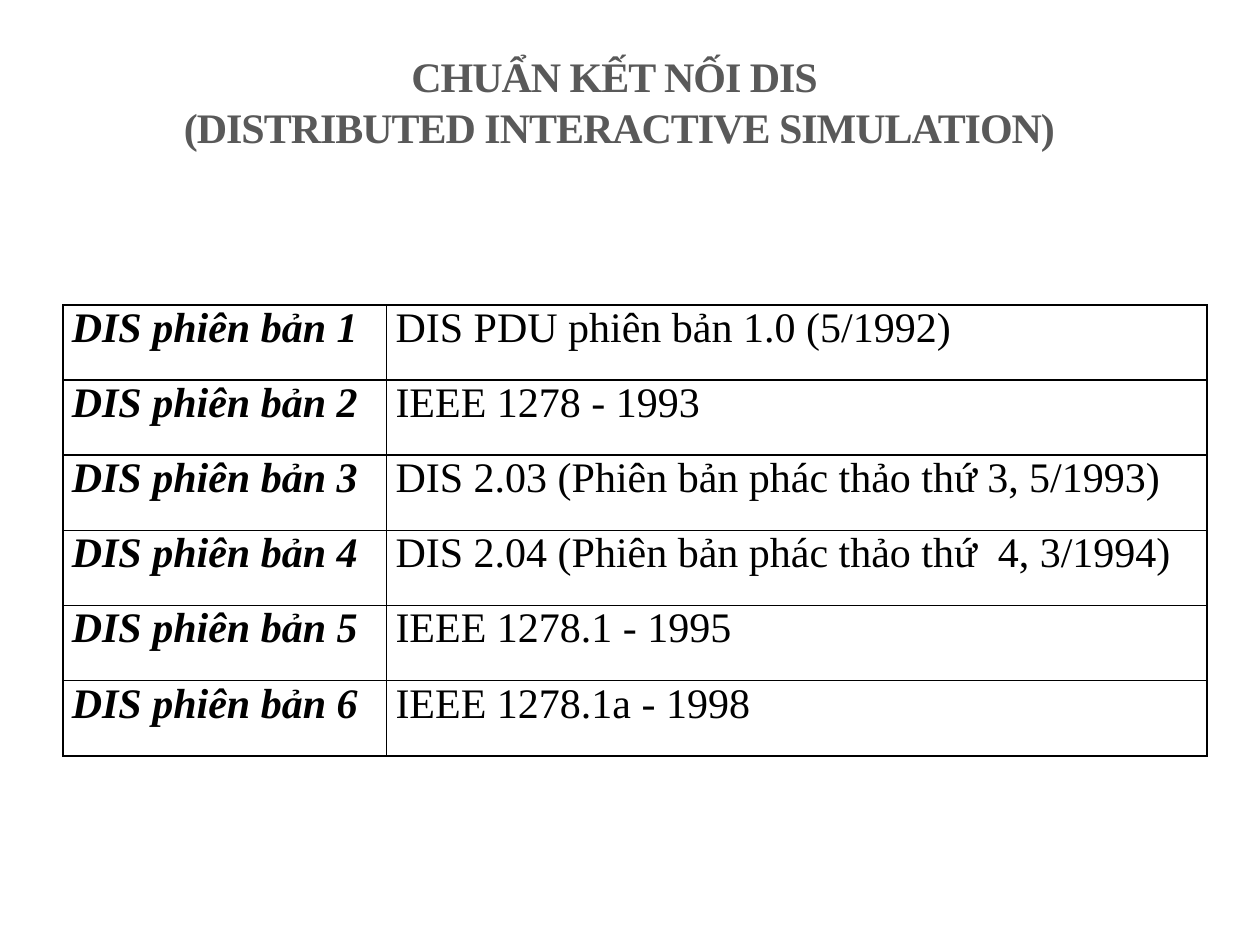
from dataclasses import dataclass

from lxml.etree import SubElement
from pptx import Presentation
from pptx.dml.color import RGBColor
from pptx.enum.text import MSO_ANCHOR as Anchor, PP_ALIGN as Align
from pptx.oxml.ns import qn
from pptx.util import Inches, Pt


@dataclass(frozen=True)
class Theme:
    """Colours, type and line sizes of the slide."""
    font: str = "Times New Roman"
    size: int = 24
    title: str = "595959"
    ink: str = "000000"
    background: str = "FFFFFF"
    border: int = 1
    tracking: float = -0.6


THEME = Theme()
WIDTH, HEIGHT = Inches(10), Inches(7.5)
TITLE_BOX = (0.075, 0.044, 0.833, 0.123)
TABLE_BOX = (0.05, 0.3227, 0.908, 0.4773)
LABEL_SHARE = 0.283
TITLE_LINES = ("CHUẨN KẾT NỐI DIS ", "(DISTRIBUTED INTERACTIVE SIMULATION)")
VERSIONS = (
    "DIS PDU phiên bản 1.0 (5/1992)",
    "IEEE 1278 - 1993",
    "DIS 2.03 (Phiên bản phác thảo thứ 3, 5/1993)",
    "DIS 2.04 (Phiên bản phác thảo thứ  4, 3/1994)",
    "IEEE 1278.1 - 1995",
    "IEEE 1278.1a - 1998",
)


def place(box):
    """Turn shares of the slide into lengths."""
    return [round(share * side) for share, side in zip(box, (WIDTH, HEIGHT) * 2)]


def add_run(paragraph, text, color, bold=False, italic=False):
    """Add one styled run and return it."""
    run = paragraph.add_run()
    run.text = text
    font = run.font
    font.name, font.size = THEME.font, Pt(THEME.size)
    font.bold, font.italic = bold, italic
    font.color.rgb = RGBColor.from_string(color)
    return run


def add_title(slide, box, lines):
    """Place the centred title, its lines parted by line breaks."""
    frame = slide.shapes.add_textbox(*place(box)).text_frame
    frame.word_wrap = True
    frame.vertical_anchor = Anchor.BOTTOM
    paragraph = frame.paragraphs[0]
    paragraph.alignment = Align.CENTER
    for index, line in enumerate(lines):
        if index:
            paragraph.add_line_break()
        run = add_run(paragraph, line, THEME.title, bold=True)
        run.font._element.set("spc", str(round(THEME.tracking * 100)))


def add_borders(cell):
    """Draw a solid line on each side of a cell."""
    properties = cell._tc.get_or_add_tcPr()
    for side in ("lnL", "lnR", "lnT", "lnB"):
        line = SubElement(properties, qn(f"a:{side}"), w=str(Pt(THEME.border)))
        fill = SubElement(line, qn("a:solidFill"))
        SubElement(fill, qn("a:srgbClr"), val=THEME.ink)


def fill_cell(cell, text, emphasis):
    """Write and style one table cell."""
    cell.margin_left = cell.margin_right = Inches(0.07)
    cell.margin_top = cell.margin_bottom = 0
    add_borders(cell)
    cell.fill.background()
    add_run(cell.text_frame.paragraphs[0], text, THEME.ink, emphasis, emphasis)


def add_version_table(slide, box, versions):
    """Place the table of numbered versions in equal rows."""
    left, top, width, height = place(box)
    table = slide.shapes.add_table(len(versions), 2, left, top, width, height).table
    table.first_row = table.horz_banding = False
    table.columns[0].width = round(width * LABEL_SHARE)
    table.columns[1].width = width - table.columns[0].width
    for index, version in enumerate(versions):
        fill_cell(table.cell(index, 0), f"DIS phiên bản {index + 1}", True)
        fill_cell(table.cell(index, 1), version, False)


def main():
    """Build and save the slide."""
    presentation = Presentation()
    presentation.slide_width, presentation.slide_height = WIDTH, HEIGHT
    slide = presentation.slides.add_slide(presentation.slide_layouts[6])
    background = slide.background.fill
    background.solid()
    background.fore_color.rgb = RGBColor.from_string(THEME.background)
    add_title(slide, TITLE_BOX, TITLE_LINES)
    add_version_table(slide, TABLE_BOX, VERSIONS)
    presentation.save("out.pptx")


if __name__ == "__main__":
    main()
